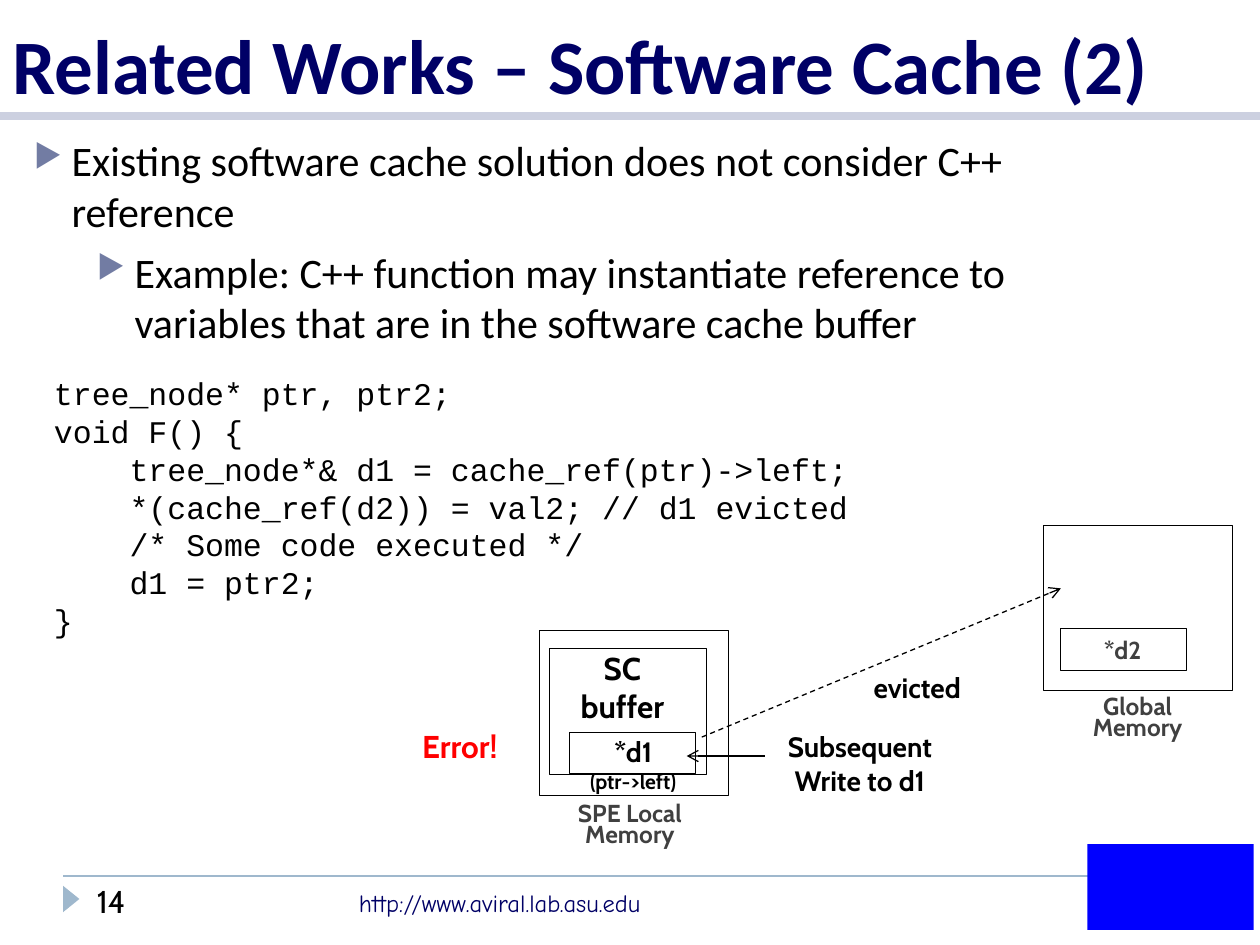
from lxml.etree import SubElement
from pptx import Presentation
from pptx.dml.color import RGBColor
from pptx.enum.dml import MSO_LINE
from pptx.enum.shapes import MSO_CONNECTOR, MSO_SHAPE
from pptx.enum.text import MSO_ANCHOR, PP_ALIGN
from pptx.oxml.ns import qn
from pptx.util import Inches, Pt

BLACK, GRAY, NAVY, RED = "000000", "404040", "000066", "FF0000"
STEEL, LAVENDER, BULLET, BLUE = "9FB8CD", "CCD0E0", "727CA3", "0000FF"

CODE = """tree_node* ptr, ptr2;
void F() {
    tree_node*& d1 = cache_ref(ptr)->left;
    *(cache_ref(d2)) = val2; // d1 evicted
    /* Some code executed */
    d1 = ptr2;
}"""

BULLETS = [
    (0, "Existing software cache solution does not consider C++ reference"),
    (1, "Example: C++ function may instantiate reference to variables "
        "that are in the software cache buffer"),
]


def rgb(color):
    return RGBColor.from_string(color)


def add_frame(slide, left, top, width, height, inset=True):
    box = slide.shapes.add_textbox(
        Inches(left), Inches(top), Inches(width), Inches(height))
    frame = box.text_frame
    frame.word_wrap = True
    if not inset:
        frame.margin_left = frame.margin_right = 0
        frame.margin_top = frame.margin_bottom = 0
    return frame


def add_paragraphs(frame, lines, font, color, bold=False, align=PP_ALIGN.LEFT, spacing=None):
    for index, (text, size) in enumerate(lines):
        paragraph = frame.add_paragraph() if index else frame.paragraphs[0]
        paragraph.alignment = align
        if spacing:
            paragraph.line_spacing = Pt(spacing)
        run = paragraph.add_run()
        run.text = text
        run.font.name = font
        run.font.size = Pt(size)
        run.font.bold = bold
        run.font.color.rgb = rgb(color)


def add_label(slide, left, top, width, height, lines, color=BLACK, spacing=None):
    frame = add_frame(slide, left, top, width, height, inset=False)
    add_paragraphs(frame, lines, "Cabin", color, True, PP_ALIGN.CENTER, spacing)


def add_outline(slide, left, top, width, height):
    outline = slide.shapes.add_shape(
        MSO_SHAPE.RECTANGLE, Inches(left), Inches(top), Inches(width), Inches(height))
    outline.shadow.inherit = False
    outline.fill.background()
    outline.line.color.rgb = rgb(BLACK)
    outline.line.width = Pt(0.5)


def add_solid(slide, preset, left, top, width, height, color):
    solid = slide.shapes.add_shape(
        preset, Inches(left), Inches(top), Inches(width), Inches(height))
    solid.shadow.inherit = False
    solid.fill.solid()
    solid.fill.fore_color.rgb = rgb(color)
    solid.line.fill.background()
    return solid


def add_line(slide, start, end, color, width, arrow=False, dashed=False):
    connector = slide.shapes.add_connector(
        MSO_CONNECTOR.STRAIGHT, *(Inches(value) for value in (*start, *end)))
    connector.line.color.rgb = rgb(color)
    connector.line.width = Pt(width)
    if dashed:
        connector.line.dash_style = MSO_LINE.DASH
    if arrow:
        SubElement(connector.line._get_or_add_ln(), qn("a:tailEnd"), type="arrow")
    SubElement(connector._element.spPr, qn("a:effectLst"))


def add_title(slide, left, top, width, height):
    bottom = top + height
    add_line(slide, (left, bottom), (left + width, bottom), LAVENDER, 5)
    frame = add_frame(slide, left, top, width, height)
    frame.vertical_anchor = MSO_ANCHOR.BOTTOM
    add_paragraphs(frame, [("Related Works – Software Cache (2)", 44)],
                   "Calibri", NAVY, bold=True)


def add_bullets(slide, left, top, width, height):
    frame = add_frame(slide, left, top, width, height)
    add_paragraphs(frame, [(text, 24) for _, text in BULLETS], "Calibri", BLACK)
    for index, (level, _) in enumerate(BULLETS):
        paragraph = frame.paragraphs[index]
        paragraph.level = level
        if index:
            paragraph.space_before = Pt(6)
        properties = paragraph._p.get_or_add_pPr()
        properties.set("marL", str(Inches(0.3 + 0.5 * level)))
        properties.set("indent", str(Inches(-0.3)))
        bullet_color = SubElement(properties, qn("a:buClr"))
        SubElement(bullet_color, qn("a:srgbClr"), val=BULLET)
        SubElement(properties, qn("a:buSzPct"), val="76000")
        SubElement(properties, qn("a:buChar"), char="▶")


def add_code(slide, left, top, width, height):
    frame = add_frame(slide, left, top, width, height)
    add_paragraphs(frame, [(line, 18) for line in CODE.splitlines()], "Courier New", BLACK)


def add_local_memory(slide, left, top, width, height):
    add_outline(slide, left, top, width, height)
    add_outline(slide, left + 0.08, top + 0.15, 1.25, 1)
    add_outline(slide, left + 0.24, top + 0.81, 1, 0.33)
    add_label(slide, left + 0.16, top + 0.15, 1, 0.61, [("SC buffer", 18)])
    add_label(slide, left + 0.16, top + 0.83, 1.17, 0.47, [("*d1", 16), ("(ptr->left)", 12)])
    add_label(slide, left + 0.22, top + height + 0.09, 1, 0.34,
              [("SPE Local Memory", 14)], GRAY, 12)
    add_label(slide, left - 1.2, top + 0.9, 1.14, 0.19, [("Error!", 18)], RED, 12)


def add_global_memory(slide, left, top, width, height):
    add_outline(slide, left, top, width, height)
    add_outline(slide, left + 0.14, top + 0.82, 1, 0.33)
    add_label(slide, left + 0.32, top + 0.94, 0.62, 0.17, [("*d2", 14)], GRAY, 12)
    add_label(slide, left + 0.25, top + height + 0.07, 1, 0.34,
              [("Global Memory", 14)], GRAY, 12)


def add_accesses(slide, left, top, width, height):
    add_line(slide, (left + 0.12, top + 1.18), (left + width, top), BLACK, 0.75,
             arrow=True, dashed=True)
    add_label(slide, left + 1.37, top + 0.65, 0.92, 0.27, [("evicted", 16)])
    add_line(slide, (left + 0.62, top + 1.33), (left, top + 1.33), BLACK, 0.75, arrow=True)
    add_label(slide, left + 0.54, top + height - 0.54, 1.67, 0.54,
              [("Subsequent Write to d1", 16)])


def add_footer(slide, left, top, width, height):
    add_line(slide, (left, top), (left + 8.17, top), STEEL, 1)
    marker = add_solid(slide, MSO_SHAPE.ISOSCELES_TRIANGLE,
                       left - 0.04, top + 0.12, 0.21, 0.13, STEEL)
    marker.rotation = 90
    add_paragraphs(add_frame(slide, left + 0.17, top, 1.41, 0.4), [("14", 18)],
                   "Cabin", BLACK)
    add_paragraphs(add_frame(slide, left + 2.25, top + 0.05, 2.92, 0.34),
                   [("http://www.aviral.lab.asu.edu", 14)], "Comic Neue", NAVY)
    add_solid(slide, MSO_SHAPE.RECTANGLE, left + width - 1.32, top - 0.25,
              1.32, height + 0.25, BLUE)


def main():
    presentation = Presentation()
    presentation.slide_width = Inches(10)
    presentation.slide_height = Inches(7.5)
    slide = presentation.slides.add_slide(presentation.slide_layouts[6])
    add_footer(slide, 0.5, 6.95, 9.45, 0.43)
    add_title(slide, 0, 0, 10, 0.92)
    add_bullets(slide, 0.17, 1.02, 8.91, 1.8)
    add_code(slide, 0.33, 2.92, 7.92, 2.22)
    add_local_memory(slide, 4.28, 5, 1.5, 1.31)
    add_global_memory(slide, 8.28, 4.17, 1.5, 1.31)
    add_accesses(slide, 5.45, 4.67, 2.97, 1.66)
    presentation.save("out.pptx")


if __name__ == "__main__":
    main()
